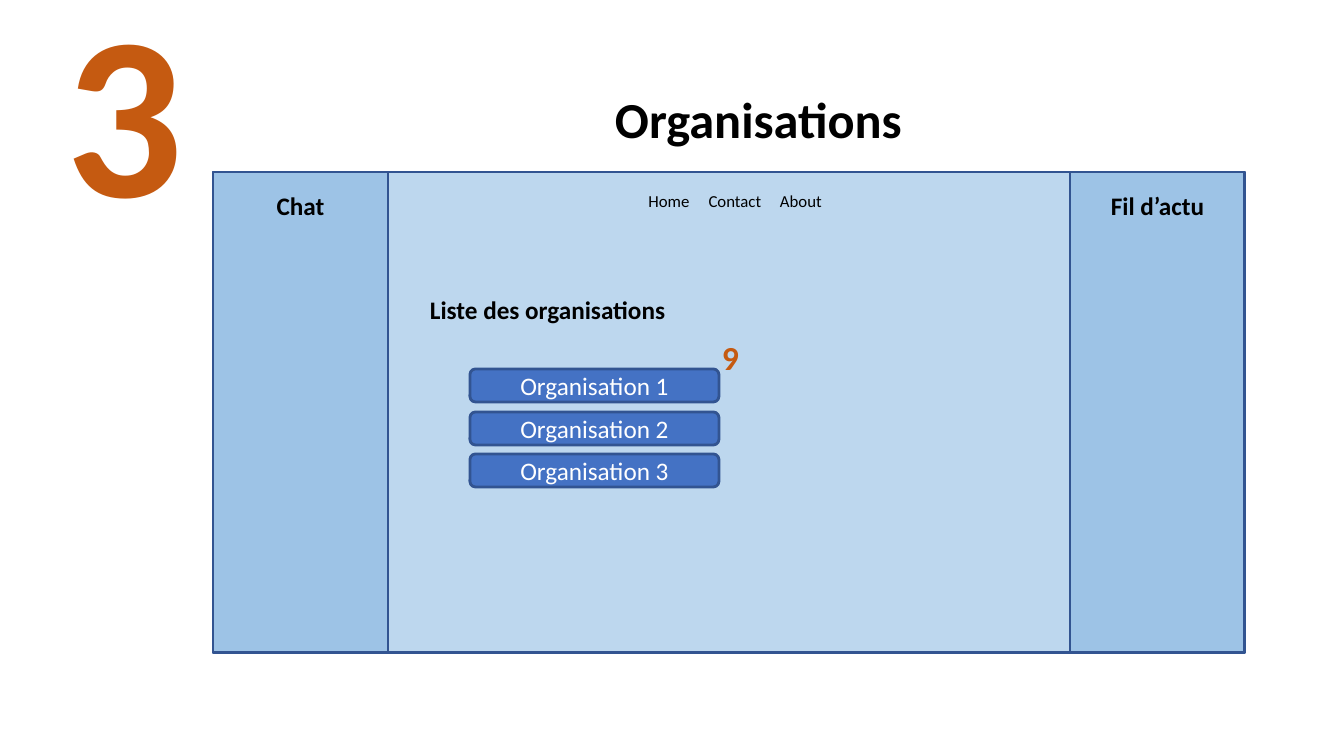
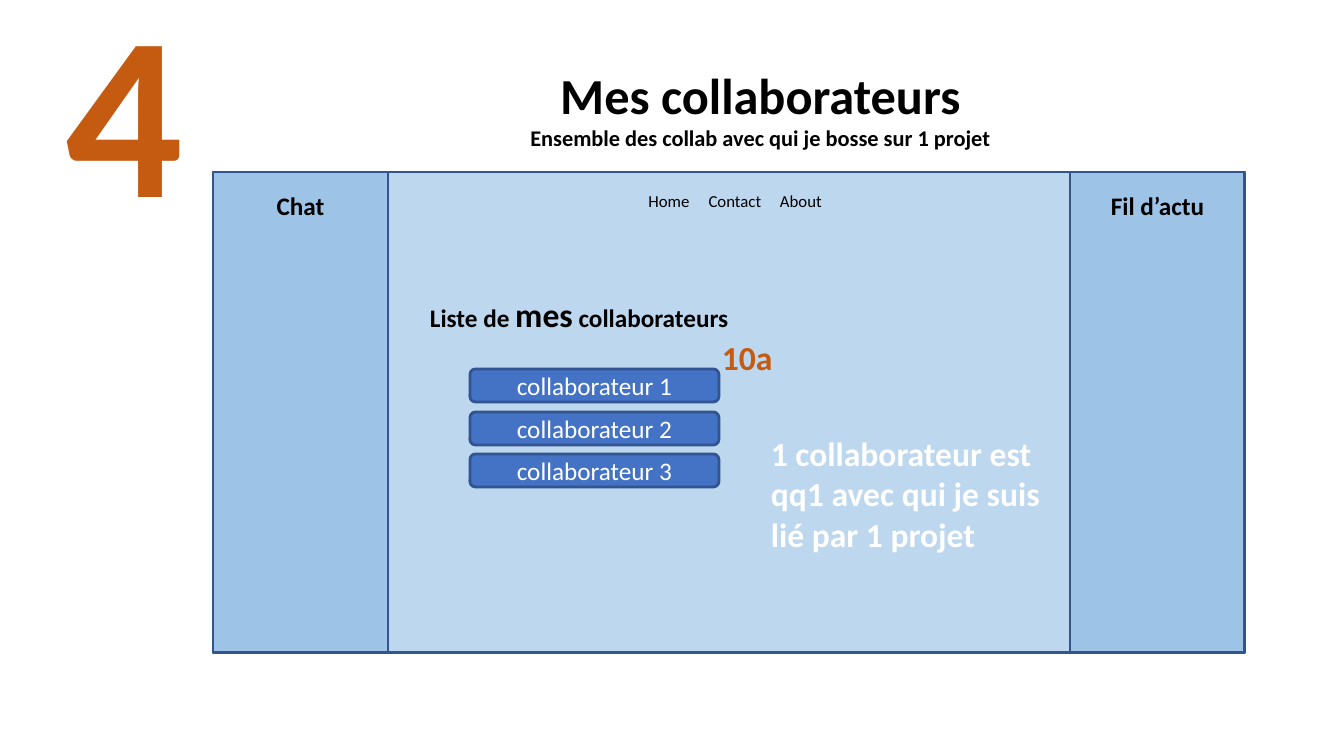
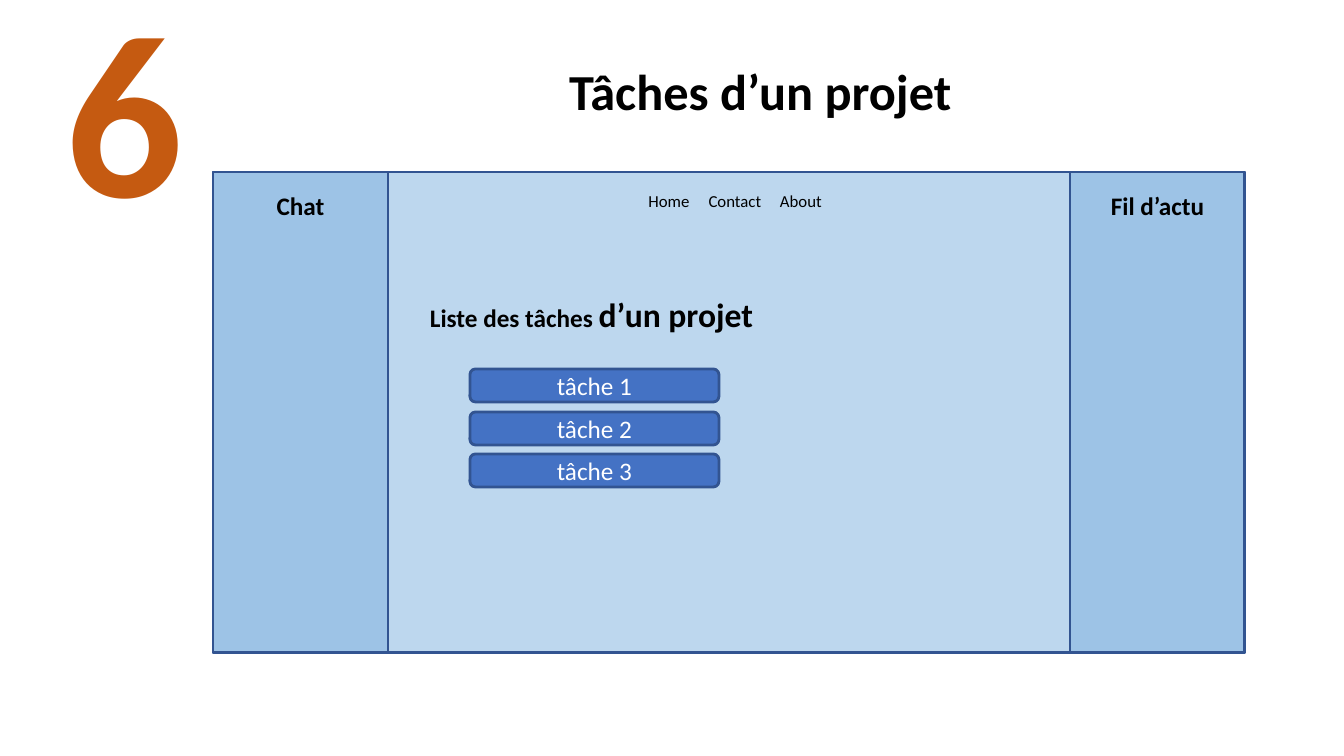
from lxml.etree import SubElement
from pptx import Presentation
from pptx.dml.color import RGBColor
from pptx.enum.shapes import MSO_SHAPE as SHAPE
from pptx.enum.text import MSO_ANCHOR as ANCHOR, MSO_AUTO_SIZE as AUTO, PP_ALIGN as ALIGN
from pptx.oxml.ns import qn
from pptx.util import Emu, Pt

BLACK = RGBColor(0x00, 0x00, 0x00)
WHITE = RGBColor(0xFF, 0xFF, 0xFF)
ORANGE = RGBColor(0xC5, 0x5A, 0x11)
NAVY = RGBColor(0x32, 0x54, 0x91)
BLUE = RGBColor(0x44, 0x72, 0xC4)
SKY = RGBColor(0x9D, 0xC3, 0xE6)
PALE = RGBColor(0xBD, 0xD7, 0xEE)

FONT = "Calibri"
PX = 914400 / 100.8

FRAME_X, FRAME_Y, FRAME_W, FRAME_H = 213, 172, 1032, 481
PANEL_W, LABEL_W = 175, 445
BUTTON_TOPS = (369, 412, 454)
MENU = ("Home", "Contact", "About")
MENU_FIRST, MENU_PITCH = 91, 66

# Each paragraph is a list of (text, size) runs.
SCREENS = [
    dict(number="3", title=[[("Organisations", 36)]], title_box=(435, 83, 647, 71),
         heading=[("Liste des organisations", 18)], heading_size=(376, 40),
         item="Organisation", mark="9", mark_w=33),
    dict(number="4", title=[[("Mes collaborateurs", 36)],
                            [("Ensemble des collab avec qui je bosse sur 1 projet", 16)]],
         title_box=(437, 59, 647, 97),
         heading=[("Liste de ", 18), ("mes", 24), (" collaborateurs", 18)],
         heading_size=(376, 50), item="collaborateur", mark="10a", mark_w=105,
         note="1 collaborateur est qq1 avec qui je suis lié par 1 projet"),
    dict(number="6", title=[[("Tâches d’un projet", 36)]], title_box=(437, 55, 647, 71),
         heading=[("Liste des tâches ", 18), ("d’un projet", 24)],
         heading_size=(605, 50), item="tâche"),
]


def write(shape, paragraphs, color=BLACK, bold=True, align=ALIGN.LEFT, anchor=ANCHOR.TOP):
    """Fill a shape with paragraphs of (text, size) runs and return its text frame."""
    tf = shape.text_frame
    tf.word_wrap = True
    tf.auto_size = AUTO.NONE
    tf.vertical_anchor = anchor
    for i, runs in enumerate(paragraphs):
        p = tf.paragraphs[0] if i == 0 else tf.add_paragraph()
        p.alignment = align
        for text, size in runs:
            r = p.add_run()
            r.text = text
            r.font.name = FONT
            r.font.size = Pt(size)
            r.font.bold = bold
            r.font.color.rgb = color
    return tf


def add(s, x, y, w, h, kind=None, fill=None):
    """Add a text box, or an outlined preset shape when a kind is given."""
    box = [Emu(round(v * PX)) for v in (x, y, w, h)]
    if kind is None:
        return s.shapes.add_textbox(*box)
    sp = s.shapes.add_shape(kind, *box)
    sp.shadow.inherit = False
    sp.fill.solid()
    sp.fill.fore_color.rgb = fill
    sp.line.color.rgb = NAVY
    sp.line.width = Pt(2)
    return sp


prs = Presentation()
prs.slide_width = Emu(round(1344 * PX))
prs.slide_height = Emu(round(756 * PX))

for screen in SCREENS:
    s = prs.slides.add_slide(prs.slide_layouts[5])

    title = s.shapes.title
    title.left, title.top, title.width, title.height = [
        Emu(round(v * PX)) for v in screen["title_box"]]
    write(title, screen["title"], align=ALIGN.CENTER)

    # Window frame with its two side panels
    add(s, FRAME_X, FRAME_Y, FRAME_W, FRAME_H, SHAPE.RECTANGLE, PALE)
    for label, x in (("Fil d’actu", FRAME_X + FRAME_W - PANEL_W), ("Chat", FRAME_X)):
        add(s, x, FRAME_Y, PANEL_W, FRAME_H, SHAPE.RECTANGLE, SKY)
        label_x = x + (PANEL_W - LABEL_W) / 2
        write(add(s, label_x, 185, LABEL_W, 40), [[(label, 18)]], align=ALIGN.CENTER)

    write(add(s, 56, -40, 123, 289), [[(screen["number"], 166)]], color=ORANGE)

    # Menu entries sit on evenly spaced centred tab stops
    menu = "".join("\t" + entry for entry in MENU)
    tf = write(add(s, 568, 186, 344, 30), [[(menu, 12)]], bold=False)
    tabs = SubElement(tf.paragraphs[0]._p.get_or_add_pPr(), qn("a:tabLst"))
    for i in range(len(MENU)):
        stop = round((MENU_FIRST + i * MENU_PITCH) * PX)
        SubElement(tabs, qn("a:tab"), pos=str(stop), algn="ctr")

    # List heading and its buttons
    write(add(s, 420, 289, *screen["heading_size"]), [screen["heading"]])
    for i, y in enumerate(BUTTON_TOPS, 1):
        button = add(s, 470, y, 249, 33, SHAPE.ROUNDED_RECTANGLE, BLUE)
        write(button, [[(f"{screen['item']} {i}", 18)]], color=WHITE, bold=False,
              align=ALIGN.CENTER, anchor=ANCHOR.MIDDLE)

    if "mark" in screen:
        write(add(s, 712, 332, screen["mark_w"], 50), [[(screen["mark"], 24)]], color=ORANGE)
    if "note" in screen:
        write(add(s, 761, 428, 307, 131), [[(screen["note"], 24)]], color=WHITE)

prs.save("out.pptx")
